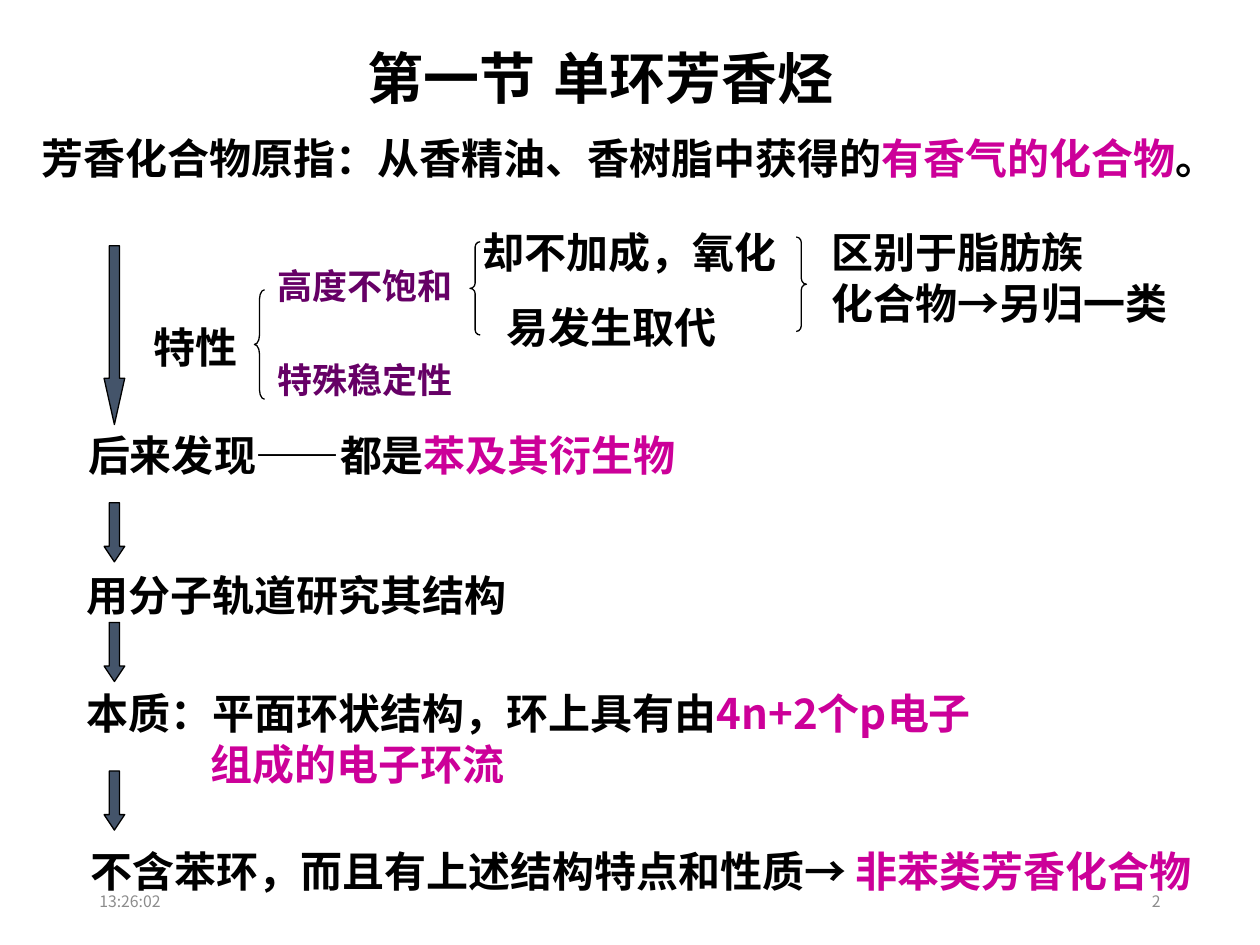
from lxml import etree
from pptx import Presentation
from pptx.dml.color import RGBColor
from pptx.enum.shapes import MSO_SHAPE
from pptx.enum.text import MSO_ANCHOR, PP_ALIGN
from pptx.oxml.ns import qn
from pptx.util import Pt

LEFT_BRACE, RIGHT_BRACE = MSO_SHAPE.LEFT_BRACE, MSO_SHAPE.RIGHT_BRACE
DOWN_ARROW = MSO_SHAPE.DOWN_ARROW
TOP, MIDDLE = MSO_ANCHOR.TOP, MSO_ANCHOR.MIDDLE
LEFT, CENTER, RIGHT = PP_ALIGN.LEFT, PP_ALIGN.CENTER, PP_ALIGN.RIGHT
TITLE_ONLY = 5

FONT = "Noto Sans CJK SC"
COLORS = {"black": "000000", "magenta": "CC0099", "purple": "660066",
          "slate": "44546A", "gray": "8C8C8C"}


def add_run(paragraph, text, size=24, color="black", bold=True, font=FONT):
    run = paragraph.add_run()
    run.text = text
    run.font.size = Pt(size)
    run.font.bold = bold
    run.font.color.rgb = RGBColor.from_string(COLORS[color])
    run.font.name = font
    east_asian = etree.SubElement(run.font._element, qn("a:ea"))
    east_asian.set("typeface", FONT)


def place(shape, left, top, width, height):
    shape.left, shape.top = Pt(left), Pt(top)
    shape.width, shape.height = Pt(width), Pt(height)


def add_text(slide, box, *lines, size=24, color="black", bold=True,
             align=LEFT, anchor=TOP, last_indent=0):
    """Each line is a string or a list of (text, color) pairs."""
    frame = slide.shapes.add_textbox(*map(Pt, box)).text_frame
    frame.word_wrap = True
    frame.vertical_anchor = anchor
    for index, line in enumerate(lines):
        paragraph = frame.add_paragraph() if index else frame.paragraphs[0]
        paragraph.alignment = align
        parts = [(line, color)] if isinstance(line, str) else line
        for text, part_color in parts:
            add_run(paragraph, text, size=size, color=part_color, bold=bold)
    if last_indent:
        properties = frame.paragraphs[-1]._p.get_or_add_pPr()
        properties.set("marL", str(Pt(last_indent)))


def add_outline_shape(slide, kind, box, adjustments, fill=None):
    shape = slide.shapes.add_shape(kind, *map(Pt, box))
    shape.shadow.inherit = False
    for index, value in enumerate(adjustments):
        shape.adjustments[index] = value
    if fill:
        shape.fill.solid()
        shape.fill.fore_color.rgb = RGBColor.from_string(COLORS[fill])
    else:
        shape.fill.background()
    shape.line.color.rgb = RGBColor.from_string(COLORS["black"])
    shape.line.width = Pt(0.75)


def add_title(slide):
    title = slide.shapes.title
    place(title, 156.2, 15.1, 374.4, 48.2)
    title.text_frame.vertical_anchor = MIDDLE
    paragraph = title.text_frame.paragraphs[0]
    paragraph.alignment = CENTER
    add_run(paragraph, "第一节", size=32)
    add_run(paragraph, " ", size=44, bold=False, font="Arial")
    add_run(paragraph, "单环芳香烃", size=32)


def add_properties(slide):
    """The braced branch from the properties to a class of their own."""
    add_text(slide, (80.6, 180, 66, 36), "特性")
    for top, text in ((147.6, "高度不饱和"), (201.6, "特殊稳定性")):
        add_text(slide, (151.2, top, 118, 31.7), text, size=20, color="purple")
    add_text(slide, (268.6, 126, 211.7, 36), "却不加成，氧化")
    add_text(slide, (282.2, 168.5, 162.7, 36), "易发生取代")
    add_text(slide, (468, 126, 211.7, 65.5), "区别于脂肪族", "化合物→另归一类")
    for kind, box, curve in (
        (LEFT_BRACE, (145.4, 165.6, 5.8, 62.6), 0.92),
        (LEFT_BRACE, (268.6, 138.2, 5.8, 53.3), 0.5),
        (RIGHT_BRACE, (455, 135.4, 5.8, 54), 0.57),
    ):
        add_outline_shape(slide, kind, box, (curve, 0.5))


def add_history(slide):
    """The steps down the slide, from first meaning to modern one."""
    add_text(slide, (16.6, 72, 694.1, 36.7),
             [("芳香化合物原指：从香精油、香树脂中获得的", "black"),
              ("有香气的化合物", "magenta"), ("。", "black")])
    add_text(slide, (43.2, 241.9, 424.1, 36.7),
             [("后来发现——都是", "black"), ("苯及其衍生物", "magenta")])
    add_text(slide, (42.5, 321.8, 306, 36), "用分子轨道研究其结构")
    add_text(slide, (42.5, 389.5, 568.8, 65.5),
             [("本质：平面环状结构，环上具有由", "black"), ("4n+2个p电子", "magenta")],
             [("组成的电子环流", "magenta")], last_indent=71)
    add_text(slide, (44.6, 479.5, 649.4, 36.7),
             [("不含苯环，而且有上述结构特点和性质→ ", "black"),
              ("非苯类芳香化合物", "magenta")])
    for top, height, head in ((140.4, 102.2, 2.24), (287.3, 33.8, 0.75),
                              (355.7, 33.8, 0.75), (440.6, 33.8, 0.75)):
        add_outline_shape(slide, DOWN_ARROW, (59.5, top, 11.8, height),
                          (0.5, head), fill="slate")


def add_footer(slide):
    for left, text, align in ((49.7, "13:26:02", LEFT), (508.3, "2", RIGHT)):
        add_text(slide, (left, 500.4, 162, 28.8), text, size=9, color="gray",
                 bold=False, align=align, anchor=MIDDLE)


def main():
    presentation = Presentation()
    presentation.slide_width, presentation.slide_height = Pt(720), Pt(540)
    slide = presentation.slides.add_slide(presentation.slide_layouts[TITLE_ONLY])
    add_title(slide)
    add_properties(slide)
    add_history(slide)
    add_footer(slide)
    presentation.save("out.pptx")


if __name__ == "__main__":
    main()
